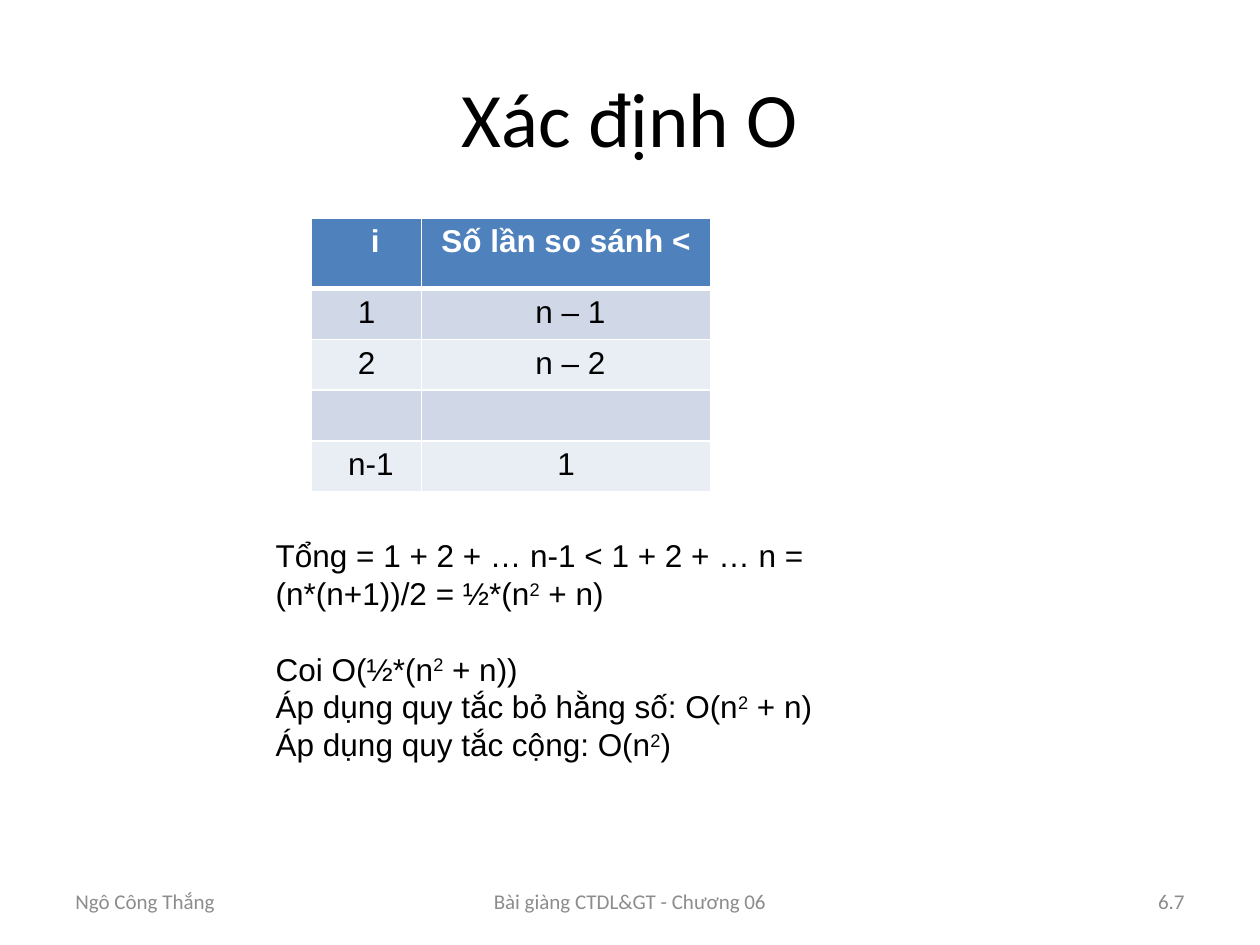
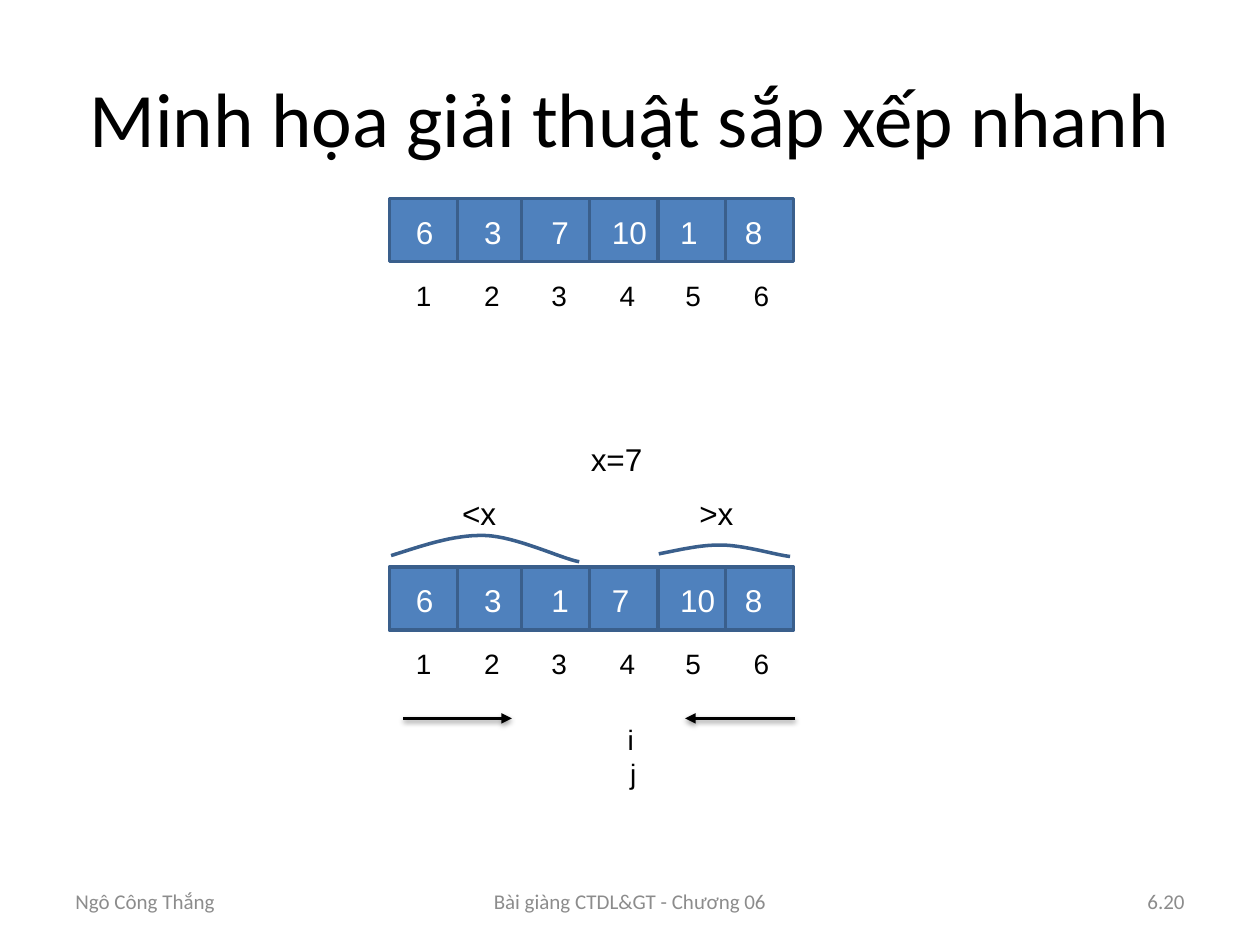
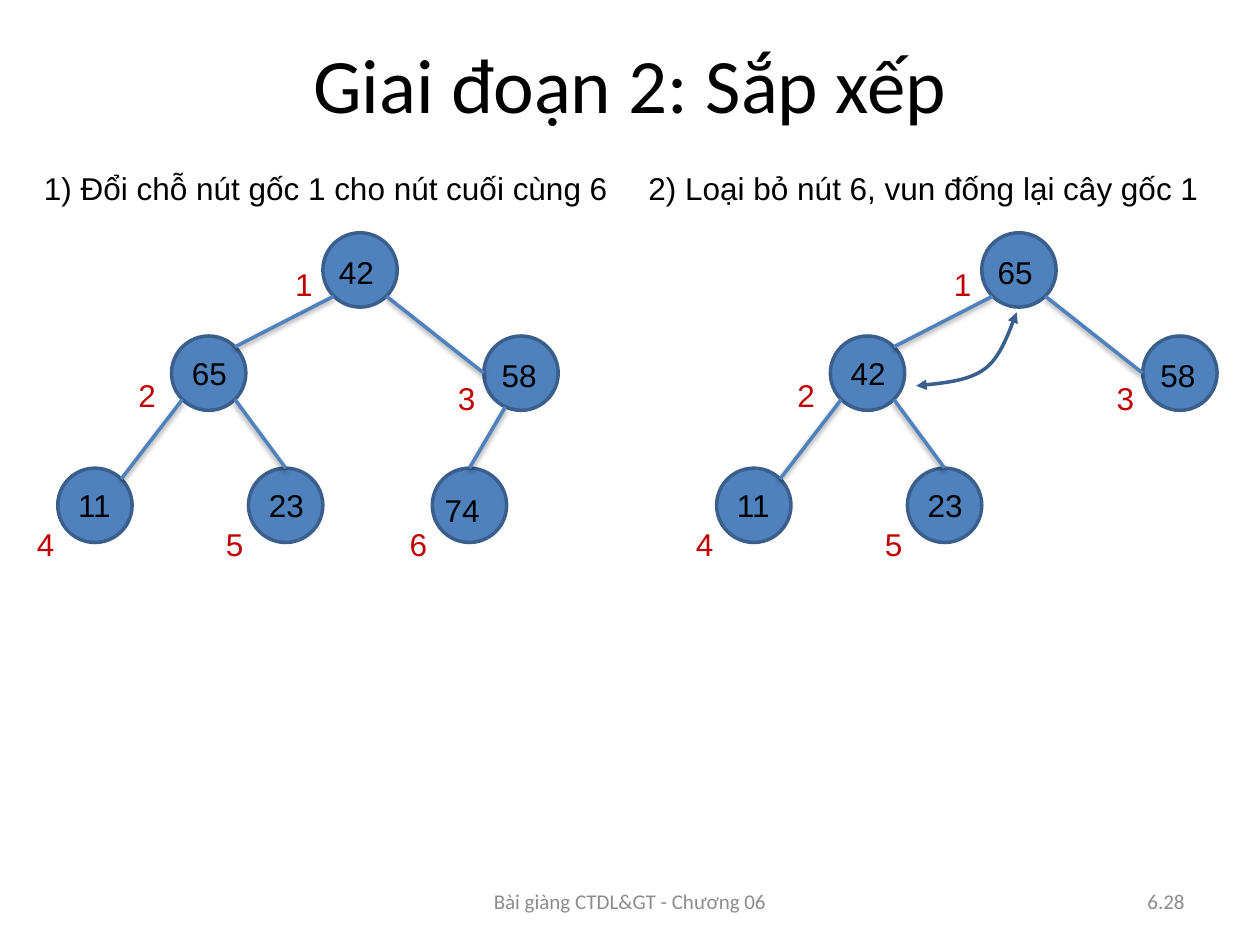
from math import cos, radians, sin

from lxml import etree
from pptx import Presentation
from pptx.dml.color import RGBColor as RGB
from pptx.enum.shapes import MSO_CONNECTOR as CONN, MSO_SHAPE as SHAPE
from pptx.enum.text import MSO_ANCHOR as ANCHOR, PP_ALIGN as ALIGN
from pptx.oxml.ns import qn
from pptx.util import Pt

BLACK = RGB(0x00, 0x00, 0x00)
WHITE = RGB(0xFF, 0xFF, 0xFF)
GRAY = RGB(0x8C, 0x8C, 0x8C)
BLUE = RGB(0x4F, 0x81, 0xBD)
DARK_BLUE = RGB(0x3A, 0x5F, 0x8C)
BAND_DARK = RGB(0xD0, 0xD8, 0xE8)
BAND_LIGHT = RGB(0xE9, 0xED, 0xF4)
RED = RGB(0xC0, 0x00, 0x00)

HEAD_FONT, BODY_FONT = "Calibri", "Arial"
LINE_W = 2
AUTHOR, COURSE = "Ngô Công Thắng", "Bài giàng CTDL&GT - Chương 06"


# Text
def style(p, size=18, color=BLACK, font=BODY_FONT, align=ALIGN.LEFT, bold=False):
    p.alignment = align
    p.font.size = Pt(size)
    p.font.name = font
    p.font.bold = bold
    p.font.color.rgb = color


def add_text(slide, box, text, anchor=ANCHOR.TOP, **fmt):
    tf = slide.shapes.add_textbox(*map(Pt, box)).text_frame
    tf.word_wrap = True
    tf.vertical_anchor = anchor
    p = tf.paragraphs[0]
    p.text = text
    style(p, **fmt)
    return tf


def add_powers(p, text):
    """Write text in which each part after ^ starts with a superscript digit."""
    first, *rest = text.split("^")
    p.add_run().text = first
    for part in rest:
        r = p.add_run()
        r.text = part[0]
        r.font._element.set("baseline", "30000")
        p.add_run().text = part[1:]


# Shapes and lines
def add_block(slide, kind, box):
    sp = slide.shapes.add_shape(kind, *map(Pt, box))
    sp.shadow.inherit = False
    sp.fill.solid()
    sp.fill.fore_color.rgb = BLUE
    sp.line.color.rgb = DARK_BLUE
    sp.line.width = Pt(LINE_W)


def add_arrowheads(shape, *ends):
    ln = shape._element.spPr.find(qn("a:ln"))
    for end in ends:
        etree.SubElement(ln, qn(f"a:{end}"), type="triangle")


def add_line(slide, start, end, color):
    line = slide.shapes.add_connector(CONN.STRAIGHT, *map(Pt, (*start, *end)))
    line.line.color.rgb = color
    line.line.width = Pt(LINE_W)
    effects = etree.SubElement(line._element.spPr, qn("a:effectLst"))
    shadow = etree.SubElement(effects, qn("a:outerShdw"), blurRad=str(Pt(3.1)),
                              dist=str(Pt(1.6)), dir="5400000", rotWithShape="0")
    clr = etree.SubElement(shadow, qn("a:srgbClr"), val=str(BLACK))
    etree.SubElement(clr, qn("a:alpha"), val="38000")
    return line


def bezier(a, b, c, d, steps=16):
    for i in range(1, steps + 1):
        t = i / steps
        u = 1 - t
        yield tuple(u**3 * k + 3 * u * u * t * m + 3 * u * t * t * n + t**3 * q
                    for k, m, n, q in zip(a, b, c, d))


def add_curve(slide, left, top, points):
    """Draw cubic curves: a start point, then three points for each curve."""
    pts = [(left + x, top + y) for x, y in points]
    track = [q for i in range(0, len(pts) - 1, 3) for q in bezier(*pts[i:i + 4])]
    fb = slide.shapes.build_freeform(*map(Pt, pts[0]))
    fb.add_line_segments([(Pt(x), Pt(y)) for x, y in track], close=False)
    sp = fb.convert_to_shape()
    sp.shadow.inherit = False
    sp.fill.background()
    sp.line.color.rgb = DARK_BLUE
    sp.line.width = Pt(LINE_W)
    return sp


# Frame shared by all slides
def new_slide(prs, title, number, author=AUTHOR, title_box=(36, 21.6, 648, 90)):
    slide = prs.slides.add_slide(prs.slide_layouts[6])
    add_text(slide, title_box, title, ANCHOR.MIDDLE, size=44, font=HEAD_FONT,
             align=ALIGN.CENTER)
    for left, width, text, align in ((36, 168, author, ALIGN.LEFT),
                                     (246, 228, COURSE, ALIGN.CENTER),
                                     (516, 168, number, ALIGN.RIGHT)):
        if text:
            add_text(slide, (left, 500.5, width, 28.75), text, ANCHOR.MIDDLE,
                     size=12, color=GRAY, font=HEAD_FONT, align=align)
    return slide


# Slide 1: counting comparisons
COUNTS = [("i", "Số lần so sánh <"), ("1", "n – 1"), ("2", "n – 2"), ("", ""),
          ("n-1", "1")]
INDENTS = {(0, 0): 10, (1, 1): 5, (2, 1): 5, (4, 0): 5}
STEPS = ["Tổng = 1 + 2 + … n-1 < 1 + 2 + … n = (n*(n+1))/2 = ½*(n^2 + n)",
         "Coi O(½*(n^2 + n))",
         "Áp dụng quy tắc bỏ hằng số: O(n^2 + n)",
         "Áp dụng quy tắc cộng: O(n^2)"]


def set_borders(cell, header, below_header):
    tc_pr = cell._tc.get_or_add_tcPr()
    for side in "LRTB":
        thick = (header and side == "B") or (below_header and side == "T")
        ln = etree.SubElement(tc_pr, qn(f"a:ln{side}"), w=str(Pt(3 if thick else 1)))
        fill = etree.SubElement(ln, qn("a:solidFill"))
        etree.SubElement(fill, qn("a:srgbClr"), val=str(WHITE))


def count_table(slide, left, top):
    widths, heights = (63, 165), (40.5, 29, 29, 29, 29)
    table = slide.shapes.add_table(
        len(COUNTS), len(widths), Pt(left), Pt(top),
        Pt(sum(widths)), Pt(sum(heights))).table
    for col, width in zip(table.columns, widths):
        col.width = Pt(width)
    for i, (row, height, texts) in enumerate(zip(table.rows, heights, COUNTS)):
        row.height = Pt(height)
        for j, (cell, text) in enumerate(zip(row.cells, texts)):
            set_borders(cell, i == 0, i == 1)
            cell.fill.solid()
            cell.fill.fore_color.rgb = (
                BLUE if i == 0 else BAND_DARK if i % 2 else BAND_LIGHT)
            cell.margin_left = Pt(7.2 + INDENTS.get((i, j), 0))
            cell.text = text
            style(cell.text_frame.paragraphs[0], color=BLACK if i else WHITE,
                  align=ALIGN.CENTER, bold=i == 0)


def complexity_slide(prs):
    slide = new_slide(prs, "Xác định O", "6.7")
    count_table(slide, 178, 124.5)
    tf = add_text(slide, (150.5, 303, 351.5, 138), "")
    for i, step in enumerate(STEPS):
        p = tf.add_paragraph() if i else tf.paragraphs[0]
        add_powers(p, step)
        style(p)
        if i == 1:
            p.space_before = Pt(21.5)


# Slide 2: quicksort
CELL_X = (0, 39, 75.5, 114.5, 153.5, 192)
VALUE_X = (8, 47, 85.5, 120, 159, 196)
INDEX_X = (8, 47, 85.5, 124.5, 162, 201)


def array_row(slide, left, top, values):
    for x in CELL_X:
        add_block(slide, SHAPE.RECTANGLE, (left + x, top, 39, 36))
    for i, value in enumerate(values):
        add_text(slide, (left + VALUE_X[i], top + 4.5, 35, 29), str(value),
                 color=WHITE)
        add_text(slide, (left + INDEX_X[i], top + 42, 23, 26.5), str(i + 1), size=16)


def quicksort_slide(prs):
    slide = new_slide(prs, "Minh họa giải thuật sắp xếp nhanh", "6.20")
    left, top = 222.5, 324
    array_row(slide, left, 113.5, (6, 3, 7, 10, 1, 8))
    array_row(slide, left, top, (6, 3, 1, 7, 10, 8))
    # Pivot and the two parts
    for x, y, text in ((108, -76, "x=7"), (34.5, -45.5, "<x"), (170, -45.5, ">x")):
        add_text(slide, (left + x, top + y, 57, 29), text)
    add_curve(slide, left, top, [
        (1, -6.5), (18.5, -12), (36.5, -18.5), (54.5, -18),
        (72.5, -17.5), (99, -4.5), (108.5, -3)])
    add_curve(slide, left, top, [
        (154, -7.5), (167, -10), (179, -13), (191.5, -12.5),
        (204.5, -12), (222.5, -6.5), (229, -6)])
    # Scan directions and pointers
    for start, end in ((8, 70), (232, 169)):
        line = add_line(slide, (left + start, top + 86.5), (left + end, top + 86.5),
                        BLACK)
        add_arrowheads(line, "tailEnd")
    for x, y, text in ((129, 85.5, "i"), (130.5, 105, "j")):
        add_text(slide, (left + x, top + y, 23, 26.5), text, size=16)


# Slide 3: heap sort
NODE_D = 42.5
# Node number: circle, value offset, number offset
NODES = {1: ((170.5, 0), (2, 8), (-23, 15)),
         2: ((84, 59), (4.5, 7), (-26, 19.5)),
         3: ((262.5, 59), (3, 8), (-22, 21)),
         4: ((19, 134.5), (4.5, 6.5), (-19, 29)),
         5: ((128, 134.5), (4.5, 6.5), (-20, 29)),
         6: ((233, 134.5), (0, 9.5), (-20, 29))}
# Parent, angle on its rim, child, angle on its rim
EDGES = [(1, 135, 2, -45), (1, 45, 3, 180), (2, 135, 4, -45), (2, 45, 5, -90),
         (3, 115, 6, -90)]


def heap_tree(slide, left, top, values):
    def rim(node, angle):
        x, y = NODES[node][0]
        r, a = NODE_D / 2, radians(angle)
        return left + x + r + r * cos(a), top + y + r + r * sin(a)

    for node, value in enumerate(values, 1):
        (x, y), (vx, vy), (nx, ny) = NODES[node]
        x, y = left + x, top + y
        add_block(slide, SHAPE.OVAL, (x, y, NODE_D, NODE_D))
        add_text(slide, (x + vx, y + vy, 35, 29), str(value))
        add_text(slide, (x + nx, y + ny, 29.5, 29.5), str(node), color=RED)
    for parent, out_angle, child, in_angle in EDGES:
        if child <= len(values):
            add_line(slide, rim(parent, out_angle), rim(child, in_angle), BLUE)


def heapsort_slide(prs):
    slide = new_slide(prs, "Giai đoạn 2: Sắp xếp", "6.28", author=None,
                      title_box=(36, 21, 648, 52))
    add_text(slide, (18, 93, 376.5, 29), "1) Đổi chỗ nút gốc 1 cho nút cuối cùng 6")
    add_text(slide, (363.5, 93, 338.5, 29), "2) Loại bỏ nút 6, vun đống lại cây gốc 1")
    top, right = 133, 390.5
    heap_tree(slide, 14, top, (42, 65, 58, 11, 23, 74))
    heap_tree(slide, right, top, (65, 42, 58, 11, 23))
    # Swap of the root and its left child
    swap = add_curve(slide, right, top, [
        (133, 87.5), (147.5, 86), (162.5, 85), (172, 78),
        (181, 71.5), (185.5, 58.5), (190.5, 45.5)])
    add_arrowheads(swap, "headEnd", "tailEnd")


def main():
    prs = Presentation()
    prs.slide_width, prs.slide_height = Pt(720), Pt(540)
    complexity_slide(prs)
    quicksort_slide(prs)
    heapsort_slide(prs)
    prs.save("out.pptx")


if __name__ == "__main__":
    main()
